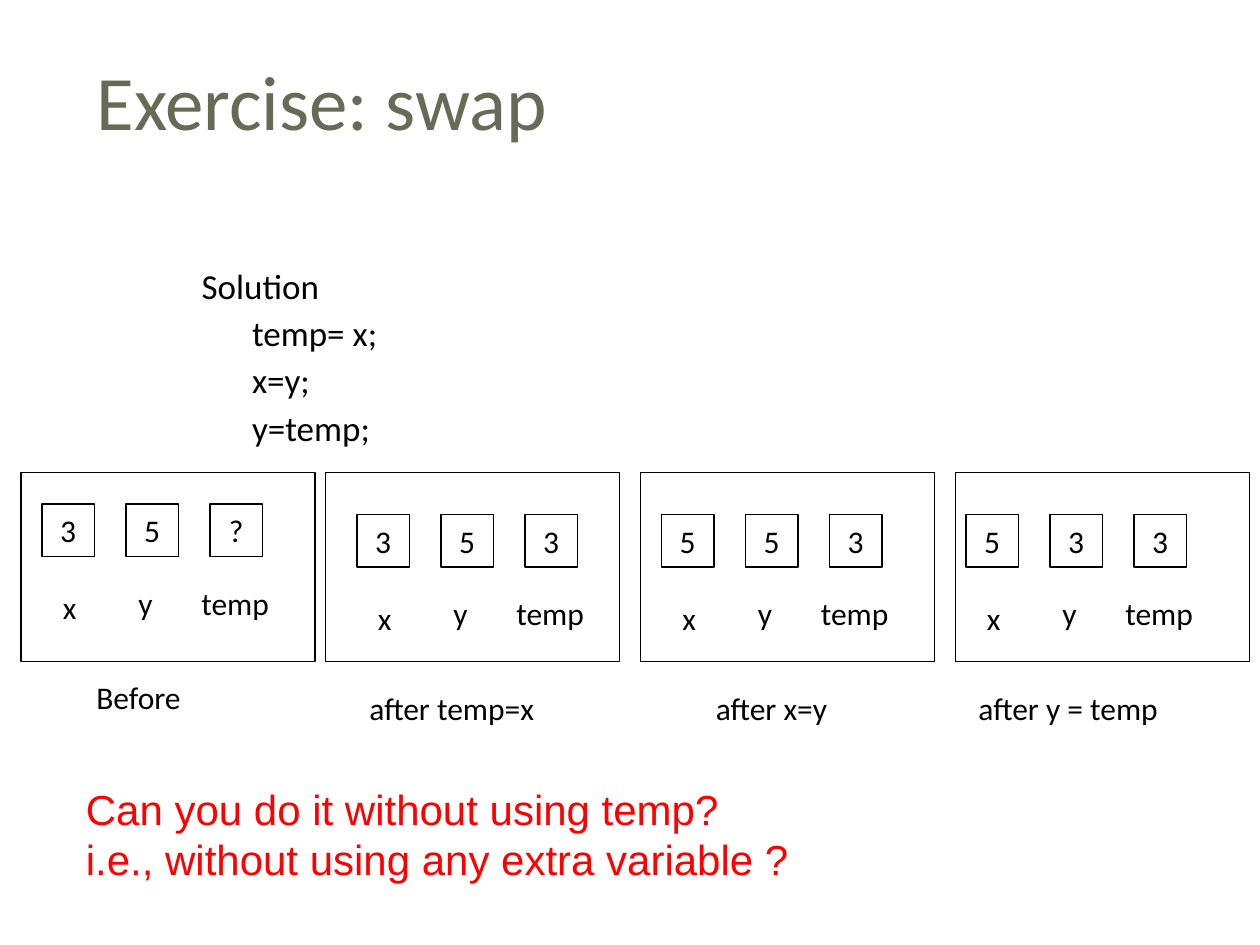
from pptx import Presentation
from pptx.dml.color import RGBColor
from pptx.enum.shapes import MSO_SHAPE as Shape
from pptx.enum.text import MSO_ANCHOR as Anchor, MSO_AUTO_SIZE as Fit, PP_ALIGN as Align
from pptx.oxml.ns import qn
from pptx.util import Pt
from lxml.etree import SubElement as Sub

BLACK = RGBColor(0, 0, 0)
OLIVE = RGBColor(0x67, 0x6A, 0x55)
RED = RGBColor(255, 0, 0)

HEAD = {"size": Pt(44), "name": "Calibri", "color": OLIVE}
CODE = {"size": Pt(20), "name": "Calibri", "color": BLACK}
MARK = {"size": Pt(18), "name": "Calibri", "color": BLACK}
ASK = {"size": Pt(24), "name": "Arial", "color": RED}

CELL, PITCH = 30, 48
# Frame left, first cell (left, top), caption shift, values, caption (text, width)
STEPS = [
    (12, (24, 288), 24, "35?", ("Before", 66)),
    (186, (204, 294), 0, "353", ("after temp=x", 120)),
    (366, (378, 294), 24, "553", ("after x=y", 89)),
    (546, (552, 294), 0, "533", ("after y = temp", 131)),
]
# Variable name, left and top from the first cell, width
NAMES = [("x", 4.8, 44.6, 23), ("y", 48, 42, 24), ("temp", 84, 42, 55.5)]


def place(item, box):
    for key, val in zip(("left", "top", "width", "height"), box):
        setattr(item, key, Pt(val))


def write(para, text, style):
    run = para.add_run()
    run.text = text
    for key, val in style.items():
        if key == "color":
            run.font.color.rgb = val
        else:
            setattr(run.font, key, val)


def add_title(slide, box):
    title = slide.shapes.title
    place(title, box)
    frame = title.text_frame
    frame.auto_size = Fit.NONE
    frame.vertical_anchor = Anchor.MIDDLE
    para = frame.paragraphs[0]
    para.alignment = Align.LEFT
    write(para, "Exercise: swap", HEAD)


def add_code(slide, box):
    body = slide.placeholders[1]
    place(body, box)
    frame = body.text_frame
    frame.auto_size = Fit.NONE
    lines = [("Solution", 0), ("temp= x;", 1), ("x=y;", 1), ("y=temp;", 1)]
    for num, (text, level) in enumerate(lines):
        para = frame.add_paragraph() if num else frame.paragraphs[0]
        para.level = level
        para.line_spacing = 0.9
        para.space_before = Pt((7, 5.5)[level])
        props = para._p.get_or_add_pPr()
        props.set("marL", str(Pt((25.2, 50.4)[level])))
        props.set("indent", str(Pt((-25.2, -21.6)[level])))
        Sub(props, qn("a:buNone"))
        write(para, text, CODE)


def add_rect(slide, box):
    rect = slide.shapes.add_shape(Shape.RECTANGLE, *map(Pt, box))
    rect.shadow.inherit = False
    rect.fill.background()
    rect.line.color.rgb = BLACK
    rect.line.width = Pt(0.75)
    return rect


def add_text(slide, box, lines, style, wrap=False):
    frame = slide.shapes.add_textbox(*map(Pt, box)).text_frame
    frame.word_wrap = wrap
    frame.auto_size = Fit.SHAPE_TO_FIT_TEXT
    for num, text in enumerate(lines):
        para = frame.add_paragraph() if num else frame.paragraphs[0]
        write(para, text, style)


def add_step(slide, box, first, shift, values, caption):
    left, top = first
    # Memory cells
    for col, value in enumerate(values):
        frame = add_rect(slide, (left + col * PITCH, top, CELL, CELL)).text_frame
        frame.word_wrap = False
        frame.vertical_anchor = Anchor.MIDDLE
        para = frame.paragraphs[0]
        para.alignment = Align.CENTER
        write(para, value, MARK)
    # Variable names
    for name, dx, dy, width in NAMES:
        add_text(slide, (left + dx, top + dy, width, 29), [name], MARK)
    # Caption and frame
    text, width = caption
    add_text(slide, (left + shift, top + 96, width, 29), [text], MARK)
    add_rect(slide, box)


def main():
    deck = Presentation()
    deck.slide_width, deck.slide_height = Pt(720), Pt(540)
    slide = deck.slides.add_slide(deck.slide_layouts[1])
    for item in list(slide.placeholders)[2:]:
        item.element.getparent().remove(item.element)
    add_title(slide, (48, 18, 642, 78))
    add_code(slide, (108, 150, 630, 114))
    for left, *step in STEPS:
        add_step(slide, (left, 270, 168, 108), *step)
    # Closing question
    ask = ["Can you do it without using temp?",
           "i.e., without using any extra variable ?"]
    add_text(slide, (42, 444, 642, 65.5), ask, ASK, wrap=True)
    deck.save("out.pptx")


if __name__ == "__main__":
    main()
